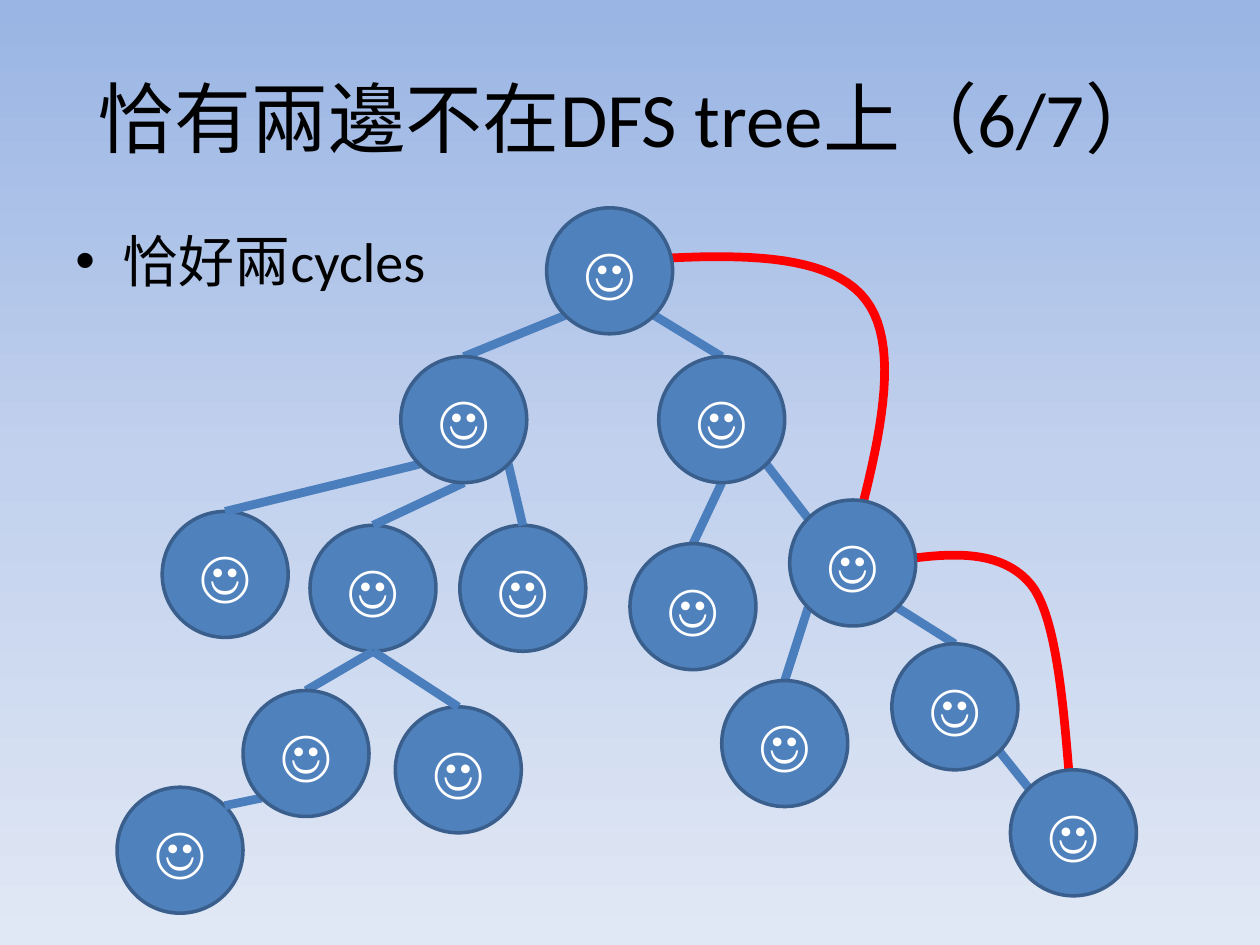
from copy import deepcopy
from math import cos, sin, radians

from lxml.etree import SubElement
from pptx import Presentation
from pptx.dml.color import RGBColor
from pptx.enum.shapes import MSO_CONNECTOR as CONN, MSO_SHAPE as SHAPE
from pptx.enum.text import MSO_ANCHOR as ANCHOR, PP_ALIGN as ALIGN
from pptx.oxml.ns import qn
from pptx.util import Cm, Pt

BLACK = RGBColor(0x00, 0x00, 0x00)
WHITE = RGBColor(0xFF, 0xFF, 0xFF)
NODE_FILL = RGBColor(0x4F, 0x81, 0xBD)
NODE_LINE = RGBColor(0x3A, 0x5F, 0x8C)
EDGE = RGBColor(0x4B, 0x7E, 0xBC)
BACK_EDGE = RGBColor(0xFF, 0x00, 0x00)
SKY = [
    (0, RGBColor(0x9A, 0xB5, 0xE4)),
    (0.5, RGBColor(0xC2, 0xD1, 0xED)),
    (1, RGBColor(0xE1, 0xE8, 0xF5)),
]
FONT = "Calibri"
DIAMETER = 2.54

NODES = {
    "root": (8.66, 0), "left": (5.72, 3), "right": (10.92, 3),
    "a": (0.91, 6.12), "b": (3.89, 6.4), "c": (6.91, 6.4),
    "d": (10.34, 6.77), "e": (13.56, 5.89),
    "f": (2.54, 9.73), "g": (5.61, 10.06), "h": (0, 11.68),
    "i": (12.19, 9.53), "j": (15.62, 8.79), "k": (18.01, 11.33),
}
BEHIND_EDGES = "abcgh"
SITES = {"top": 270, "bottom": 90, "top left": 225, "top right": 315,
         "bottom left": 135, "bottom right": 45}
EDGES = [
    ("root", "bottom left", "left", "top"),
    ("root", "bottom right", "right", "top"),
    ("left", "bottom left", "a", "top"),
    ("left", "bottom", "b", "top"),
    ("left", "bottom right", "c", "top"),
    ("right", "bottom", "d", "top"),
    ("right", "bottom right", "e", "top left"),
    ("b", "bottom", "f", "top"),
    ("b", "bottom", "g", "top"),
    ("f", "bottom left", "h", "top right"),
    ("e", "bottom left", "i", "top"),
    ("e", "bottom right", "j", "top"),
    ("j", "bottom right", "k", "top left"),
]
BACK_EDGES = [
    [(9.86, 1.09), (12.07, 0.94), (14.27, 0.79), (15.09, 1.85),
     (15.9, 2.9), (15.27, 5.13), (14.66, 7.39)],
    [(15.19, 7.19), (16.46, 6.99), (17.73, 6.76), (18.42, 7.59),
     (19.1, 8.41), (19.13, 11.4), (19.28, 12.17),
     (19.43, 12.93), (19.35, 12.57), (19.28, 12.19)],
]


def paint_background(s):
    fill = s.background.fill
    fill.gradient()
    fill.gradient_angle = 270
    first = fill.gradient_stops[0]._gs
    first.addnext(deepcopy(first))
    for stop, (position, color) in zip(fill.gradient_stops, SKY):
        stop.position = position
        stop.color.rgb = color


def write(p, text, size, color):
    r = p.add_run()
    r.text = text
    r.font.name = FONT
    r.font.size = Pt(size)
    r.font.color.rgb = color


def add_title(s, x, y, w, h):
    tf = s.shapes.add_textbox(Cm(x), Cm(y), Cm(w), Cm(h)).text_frame
    tf.word_wrap = True
    tf.vertical_anchor = ANCHOR.MIDDLE
    p = tf.paragraphs[0]
    p.alignment = ALIGN.CENTER
    write(p, "恰有兩邊不在DFS tree上（6/7）", 44, BLACK)


def add_body(s, x, y, w, h):
    tf = s.shapes.add_textbox(Cm(x), Cm(y), Cm(w), Cm(h)).text_frame
    tf.word_wrap = True
    p = tf.paragraphs[0]
    p.space_before = Pt(6.4)
    pPr = p._p.get_or_add_pPr()
    pPr.set("marL", str(Cm(0.95)))
    pPr.set("indent", str(-Cm(0.95)))
    SubElement(pPr, qn("a:buFont")).set("typeface", "Arial")
    SubElement(pPr, qn("a:buChar")).set("char", "•")
    write(p, "恰好兩cycles", 32, BLACK)


def add_node(s, x, y):
    sp = s.shapes.add_shape(SHAPE.OVAL, Cm(x), Cm(y), Cm(DIAMETER), Cm(DIAMETER))
    sp.shadow.inherit = False
    sp.fill.solid()
    sp.fill.fore_color.rgb = NODE_FILL
    sp.line.color.rgb = NODE_LINE
    sp.line.width = Pt(2)
    tf = sp.text_frame
    tf.vertical_anchor = ANCHOR.MIDDLE
    p = tf.paragraphs[0]
    p.alignment = ALIGN.CENTER
    write(p, "☺", 32, WHITE)


def site_point(node, site):
    x, y = NODES[node]
    angle, radius = radians(SITES[site]), DIAMETER / 2
    return x + radius * (1 + cos(angle)), y + radius * (1 + sin(angle))


def add_edge(s, x, y, start, end):
    (x1, y1), (x2, y2) = start, end
    line = s.shapes.add_connector(
        CONN.STRAIGHT, Cm(x + x1), Cm(y + y1), Cm(x + x2), Cm(y + y2))
    line.line.color.rgb = EDGE
    line.line.width = Pt(5)
    SubElement(line._element.spPr, qn("a:effectLst"))


def bezier_points(controls, steps=24):
    points = [controls[0]]
    for i in range(0, len(controls) - 1, 3):
        for step in range(1, steps + 1):
            t = step / steps
            weights = ((1 - t) ** 3, 3 * t * (1 - t) ** 2, 3 * t * t * (1 - t), t ** 3)
            points.append(tuple(
                sum(k * c[axis] for k, c in zip(weights, controls[i:i + 4]))
                for axis in (0, 1)))
    return points


def add_back_edge(s, x, y, controls):
    points = [(Cm(x + px), Cm(y + py)) for px, py in bezier_points(controls)]
    builder = s.shapes.build_freeform(*points[0])
    builder.add_line_segments(points[1:], close=False)
    sp = builder.convert_to_shape()
    sp.shadow.inherit = False
    sp.fill.background()
    sp.line.color.rgb = BACK_EDGE
    sp.line.width = Pt(5)


def add_tree(s, x, y):
    for name in BEHIND_EDGES:
        add_node(s, x + NODES[name][0], y + NODES[name][1])
    for parent, exit_site, child, entry_site in EDGES:
        add_edge(s, x, y, site_point(parent, exit_site), site_point(child, entry_site))
    for controls in BACK_EDGES:
        add_back_edge(s, x, y, controls)
    for name, (nx, ny) in NODES.items():
        if name not in BEHIND_EDGES:
            add_node(s, x + nx, y + ny)


def main():
    prs = Presentation()
    prs.slide_width, prs.slide_height = Cm(25.4), Cm(19.05)
    s = prs.slides.add_slide(prs.slide_layouts[6])
    paint_background(s)
    add_title(s, 1.27, 0.76, 22.86, 3.18)
    add_body(s, 1.27, 4.45, 22.86, 12.57)
    add_tree(s, 2.36, 4.19)
    prs.save("out.pptx")


if __name__ == "__main__":
    main()
